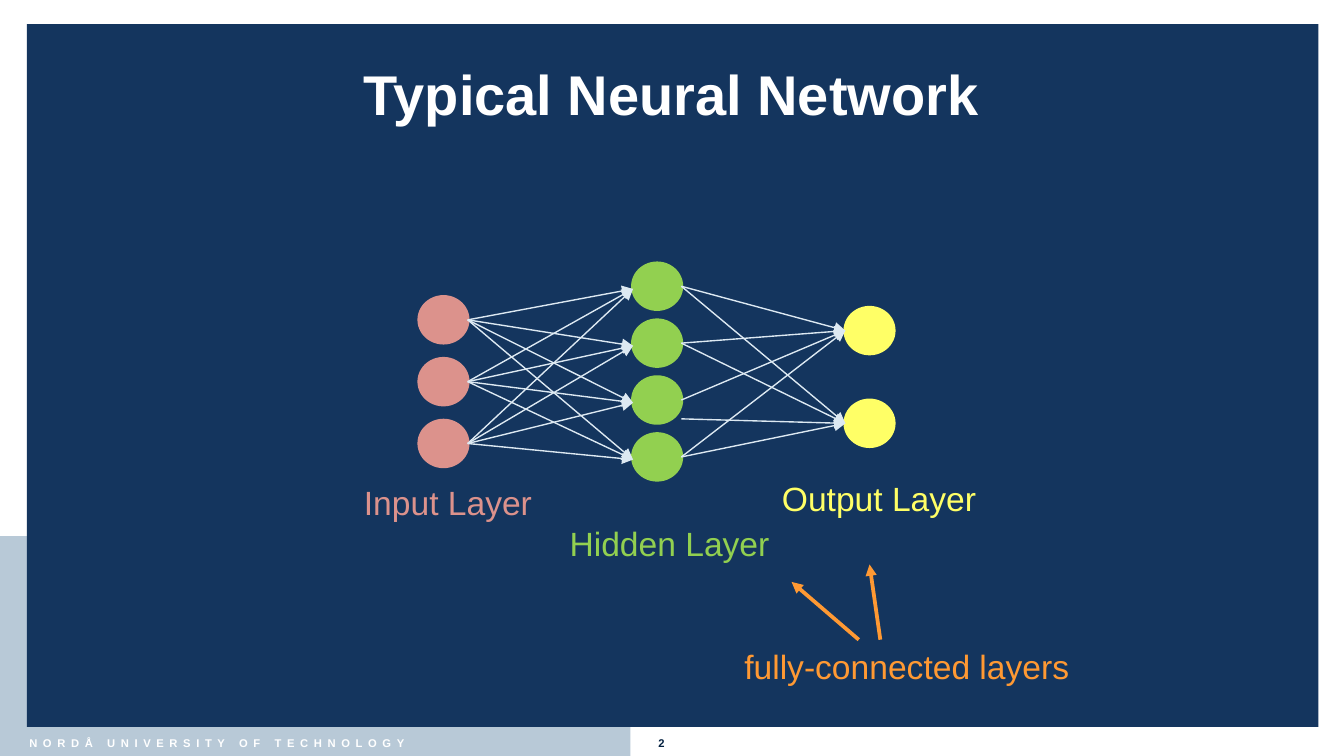
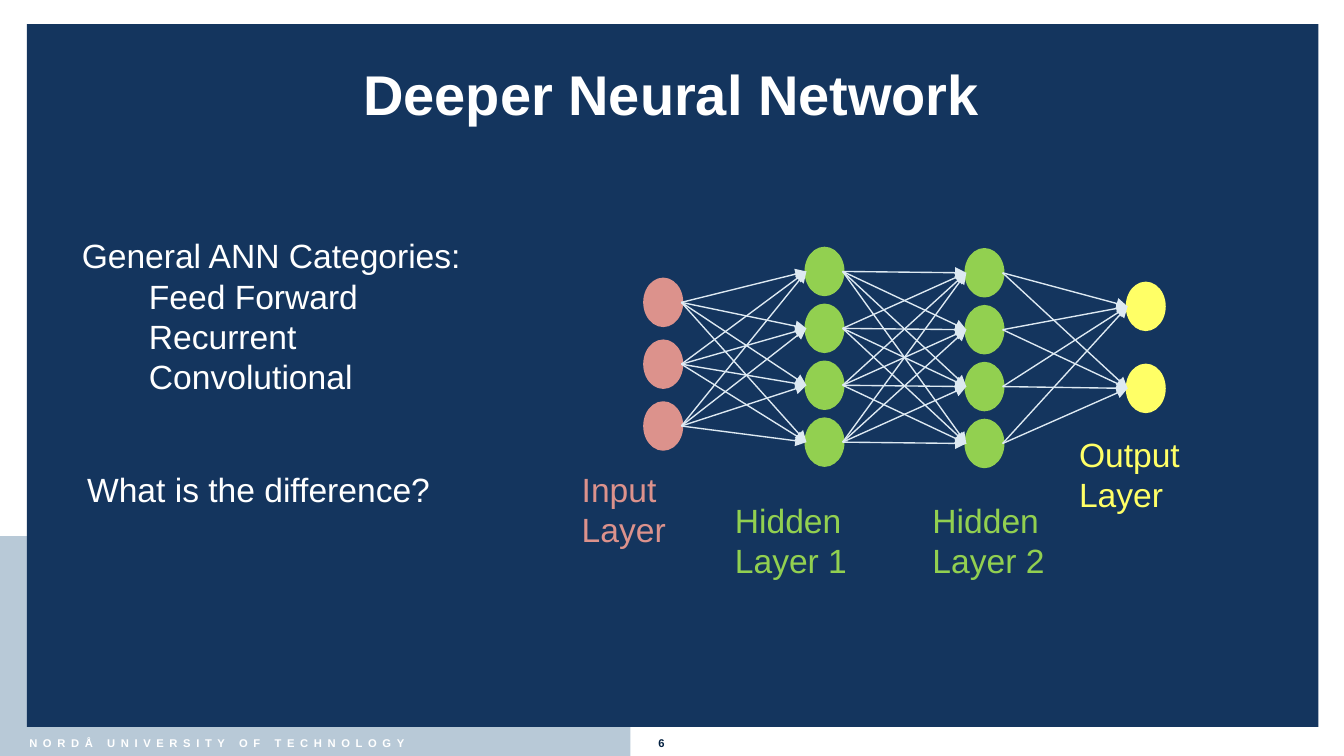
from dataclasses import dataclass
from itertools import product

from lxml import etree
from pptx import Presentation
from pptx import util as u
from pptx.dml.color import RGBColor
from pptx.enum import shapes, text
from pptx.oxml.ns import qn


@dataclass(frozen=True)
class Theme:
    font: str = "Arial"
    white: str = "FFFFFF"
    navy: str = "14355E"
    band: str = "B8C9D7"
    number: str = "032040"
    link: str = "DDE9F2"
    input: str = "DC928C"
    hidden: str = "92D050"
    output: str = "FFFF66"
    accent: str = "FF9933"
    title_size: float = 30
    body_size: float = 18
    footer_size: float = 6
    link_width: float = 0.75
    heavy_width: float = 2


@dataclass(frozen=True)
class Layer:
    """A column of neurons, spaced evenly from the first top to the last top."""
    left: float
    first_top: float
    last_top: float
    count: int
    color: str
    arrival: float = 0  # how far below the centre incoming links end

    def centers(self):
        pitch = (self.last_top - self.first_top) / (self.count - 1)
        return [self.first_top + NODE_HEIGHT / 2 + i * pitch for i in range(self.count)]


THEME = Theme()
NODE_HEIGHT = 0.34
FOOTER = "NORDÅ UNIVERSITY OF TECHNOLOGY"


class Deck:
    def __init__(self, theme):
        self.theme = theme
        self.presentation = Presentation()
        self.presentation.slide_width = u.Inches(10)
        self.presentation.slide_height = u.Inches(10) * 9 // 16
        self.slide = None

    def add_slide(self, title, number):
        theme = self.theme
        self.slide = self.presentation.slides.add_slide(self.presentation.slide_layouts[6])
        self.shape(shapes.MSO_SHAPE.RECTANGLE, 0, 3.99, 4.69, 1.64, theme.band)
        self.shape(shapes.MSO_SHAPE.RECTANGLE, 0.2, 0.18, 9.61, 5.23, theme.navy)
        footer = self.text(FOOTER, 0.12, 5.43, 4.5, 0.19, theme.white, theme.footer_size, bold=True)
        for run in footer.text_frame.paragraphs[0].runs:
            run.font._element.set("spc", "300")
        self.text(str(number), 4.8, 5.43, 0.4, 0.19, theme.number, theme.footer_size, bold=True)
        heading = self.text(title, 0.35, 0.2, 9.29, 0.99, theme.white, theme.title_size, bold=True)
        heading.text_frame.vertical_anchor = text.MSO_ANCHOR.MIDDLE
        heading.text_frame.paragraphs[0].alignment = text.PP_ALIGN.CENTER

    def shape(self, kind, left, top, width, height, color, outline=None):
        shape = self.slide.shapes.add_shape(
            kind, u.Inches(left), u.Inches(top), u.Inches(width), u.Inches(height))
        shape.shadow.inherit = False
        shape.fill.solid()
        shape.fill.fore_color.rgb = RGBColor.from_string(color)
        if outline:
            shape.line.color.rgb = RGBColor.from_string(color)
            shape.line.width = u.Pt(outline)
        else:
            shape.line.fill.background()
        return shape

    def text(self, content, left, top, width, height, color, size=None, bold=False):
        box = self.slide.shapes.add_textbox(
            u.Inches(left), u.Inches(top), u.Inches(width), u.Inches(height))
        frame = box.text_frame
        frame.word_wrap = True
        frame.text = content
        for paragraph in frame.paragraphs:
            for run in paragraph.runs:
                run.font.name = self.theme.font
                run.font.size = u.Pt(size or self.theme.body_size)
                run.font.bold = bold
                run.font.color.rgb = RGBColor.from_string(color)
        return box

    def list(self, heading, items, left, top, width, height):
        """A heading with indented lines under it."""
        box = self.text("\n".join([heading, *items]), left, top, width, height, self.theme.white)
        for paragraph in box.text_frame.paragraphs[1:]:
            paragraph.level = 1
            properties = paragraph._p.get_or_add_pPr()
            properties.set("marL", str(u.Inches(0.5)))
            properties.set("indent", "0")

    def arrow(self, start, end, color, width):
        connector = self.slide.shapes.add_connector(
            shapes.MSO_CONNECTOR.STRAIGHT, *(u.Inches(value) for value in (*start, *end)))
        connector.line.color.rgb = RGBColor.from_string(color)
        connector.line.width = u.Pt(width)
        line = connector.line._get_or_add_ln()
        etree.SubElement(line, qn("a:tailEnd"), type="triangle")
        etree.SubElement(connector._element.spPr, qn("a:effectLst"))

    def network(self, layers, node_width, departures=None):
        """Draw the layers and link every neuron to all of the next layer.

        departures maps (layer, source, target) to a vertical offset of the link's start.
        """
        departures = departures or {}
        for layer in layers:
            for center in layer.centers():
                self.shape(shapes.MSO_SHAPE.OVAL, layer.left, center - NODE_HEIGHT / 2,
                           node_width, NODE_HEIGHT, layer.color, self.theme.heavy_width)
        for index, (layer, following) in enumerate(zip(layers, layers[1:])):
            pairs = product(enumerate(layer.centers()), enumerate(following.centers()))
            for (source, start), (target, end) in pairs:
                offset = departures.get((index, source, target), 0)
                self.arrow((layer.left + node_width, start + offset),
                           (following.left, end + following.arrival),
                           self.theme.link, self.theme.link_width)


def add_typical_network(deck):
    theme = deck.theme
    deck.add_slide("Typical Neural Network", 2)
    deck.network([
        Layer(3.12, 2.21, 3.13, 3, theme.input),
        Layer(4.71, 1.96, 3.23, 4, theme.hidden, arrival=0.02),
        Layer(6.29, 2.29, 2.98, 2, theme.output),
    ], node_width=0.36, departures={(1, 2, 1): 0.14})
    for label, left, top, width, color in (
            ("Input Layer", 2.61, 3.54, 1.86, theme.input),
            ("Hidden Layer", 4.14, 3.84, 1.86, theme.hidden),
            ("Output Layer", 5.72, 3.51, 1.86, theme.output),
            ("fully-connected layers", 5.44, 4.76, 2.86, theme.accent)):
        deck.text(label, left, top, width, 0.4, color)
    deck.arrow((6.39, 4.76), (5.89, 4.33), theme.accent, theme.heavy_width)
    deck.arrow((6.55, 4.76), (6.47, 4.2), theme.accent, theme.heavy_width)


def add_deeper_network(deck):
    theme = deck.theme
    deck.add_slide("Deeper Neural Network", 6)
    deck.network([
        Layer(4.8, 2.08, 3, 3, theme.input),
        Layer(6, 1.85, 3.12, 4, theme.hidden),
        Layer(7.19, 1.86, 3.13, 4, theme.hidden),
        Layer(8.39, 2.11, 2.72, 2, theme.output),
    ], node_width=0.27)
    for label, left, top, width, color in (
            ("Input Layer", 4.23, 3.44, 1.41, theme.input),
            ("Hidden Layer 1", 5.37, 3.67, 1.54, theme.hidden),
            ("Hidden Layer 2", 6.84, 3.67, 1.54, theme.hidden),
            ("Output Layer", 7.93, 3.18, 1.41, theme.output),
            ("What is the difference?", 0.55, 3.44, 2.87, theme.white)):
        deck.text(label, left, top, width, 0.4, color)
    deck.list("General ANN Categories:", ["Feed Forward", "Recurrent", "Convolutional"],
              0.51, 1.7, 3.72, 1.62)


def main():
    deck = Deck(THEME)
    add_typical_network(deck)
    add_deeper_network(deck)
    deck.presentation.save("out.pptx")


if __name__ == "__main__":
    main()
